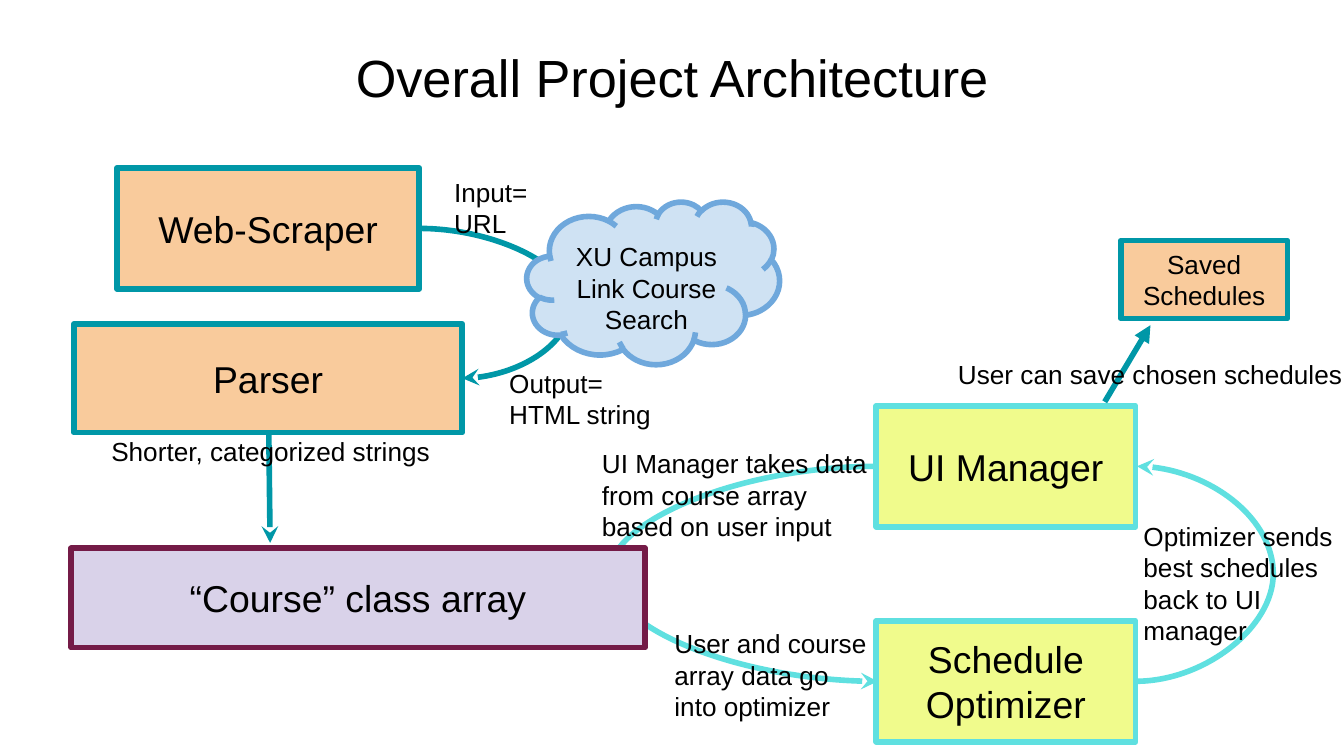
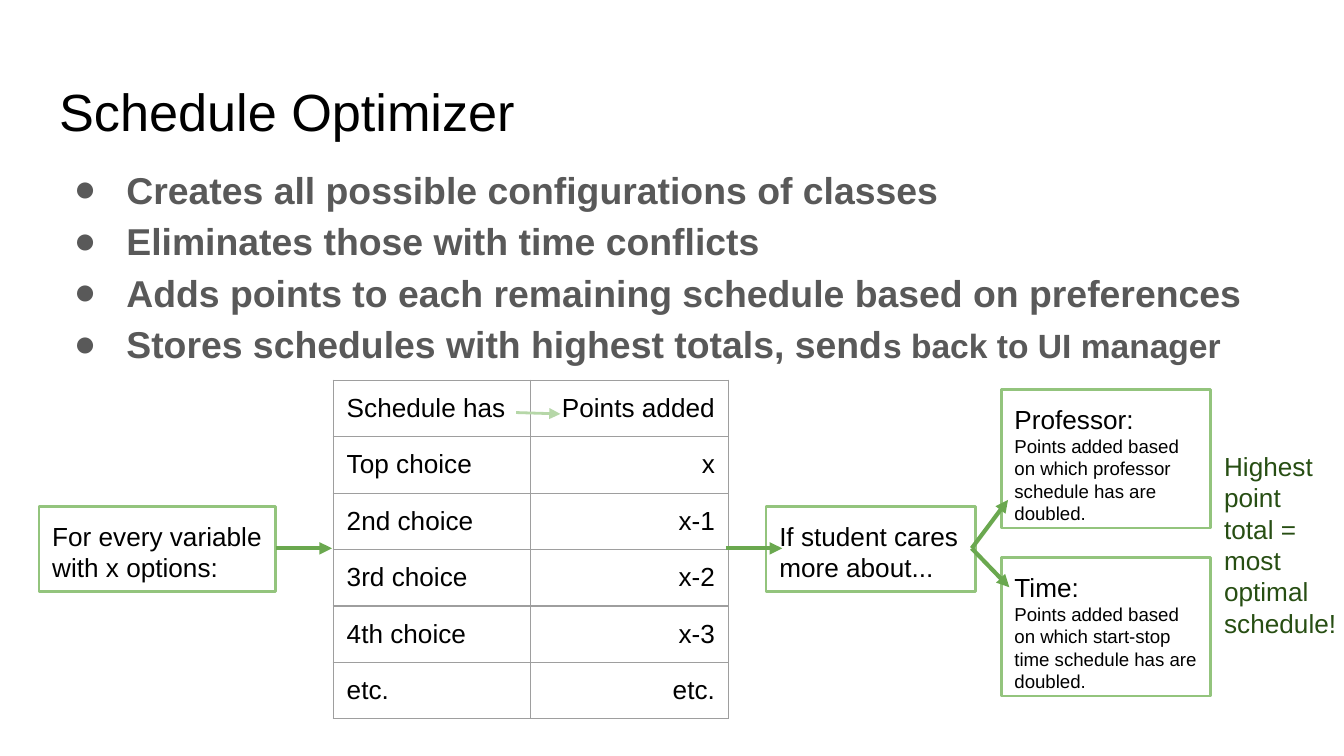
from dataclasses import dataclass

from lxml import etree
from pptx import Presentation
from pptx.dml.color import RGBColor
from pptx.enum.shapes import MSO_CONNECTOR, MSO_SHAPE
from pptx.enum.text import MSO_ANCHOR, MSO_AUTO_SIZE, PP_ALIGN
from pptx.oxml.ns import qn
from pptx.util import Inches, Pt

RECTANGLE, CLOUD = MSO_SHAPE.RECTANGLE, MSO_SHAPE.CLOUD
STRAIGHT, CURVE = MSO_CONNECTOR.STRAIGHT, MSO_CONNECTOR.CURVE
LEFT, CENTER, RIGHT = PP_ALIGN.LEFT, PP_ALIGN.CENTER, PP_ALIGN.RIGHT
TOP, MIDDLE = MSO_ANCHOR.TOP, MSO_ANCHOR.MIDDLE
NO_AUTOFIT = MSO_AUTO_SIZE.NONE
LEFT_SITE, RIGHT_SITE = 1, 3
TITLE_ONLY, TITLE_AND_BODY = 5, 1
COLUMNS, ROWS = 100, 56.25


@dataclass(frozen=True)
class Theme:
    font: str = "Arial"
    ink: str = "000000"
    body: str = "595959"
    teal: str = "0097A7"
    aqua: str = "5FE0E0"
    orange: str = "F9CB9C"
    yellow: str = "EDFA6E"
    lilac: str = "D9D2E9"
    plum: str = "741B47"
    sky: str = "CFE2F3"
    blue: str = "6FA8DC"
    pale_green: str = "B6D7A8"
    light_green: str = "93C47D"
    green: str = "6AA84F"
    dark_green: str = "274E13"
    grid: str = "9E9E9E"
    title_size: int = 28
    large: int = 20
    medium: int = 18
    label: int = 14
    small: int = 10
    inset: float = 0.1
    heavy: float = 3
    middle: float = 2.25
    thin: float = 1.5
    hair: float = 0.75


THEME = Theme()


def add_xml(parent, tag, **attributes):
    return etree.SubElement(parent, qn(tag), attributes)


def write(frame, text, size=THEME.label, color=THEME.ink, bold=False, align=LEFT,
          anchor=TOP, line_spacing=1.0, bullet=None):
    frame.word_wrap = True
    frame.auto_size = NO_AUTOFIT
    frame.vertical_anchor = anchor
    frame.margin_left = frame.margin_right = Inches(THEME.inset)
    frame.margin_top = frame.margin_bottom = Inches(THEME.inset)
    lines = [text] if isinstance(text, str) else text
    for index, line in enumerate(lines):
        paragraph = frame.add_paragraph() if index else frame.paragraphs[0]
        paragraph.alignment = align
        paragraph.line_spacing = line_spacing
        paragraph.space_before = paragraph.space_after = Pt(0)
        if bullet:
            properties = paragraph._p.get_or_add_pPr()
            properties.set("marL", str(Inches(0.5)))
            properties.set("indent", str(Inches(-0.39)))
            add_xml(add_xml(properties, "a:buClr"), "a:srgbClr", val=color)
            add_xml(properties, "a:buChar", char=bullet)
        for part in [(line, size)] if isinstance(line, str) else line:
            run = paragraph.add_run()
            run.text, run_size = part
            run.font.name = THEME.font
            run.font.size = Pt(run_size)
            run.font.bold = bold
            run.font.color.rgb = RGBColor.from_string(color)


class Deck:
    def __init__(self, theme):
        self.theme = theme
        self.presentation = Presentation()
        self.presentation.slide_width = Inches(10)
        self.presentation.slide_height = Inches(5.625)
        self.slide = None

    def x(self, columns):
        return round(self.presentation.slide_width * columns / COLUMNS)

    def y(self, rows):
        return round(self.presentation.slide_height * rows / ROWS)

    def box(self, left, top, width, height):
        return self.x(left), self.y(top), self.x(width), self.y(height)

    def fill_placeholder(self, shape, area, text, **format):
        shape.left, shape.top, shape.width, shape.height = self.box(*area)
        write(shape.text_frame, text, **format)

    def add_slide(self, layout, title, top, align=LEFT):
        layouts = self.presentation.slide_layouts
        self.slide = self.presentation.slides.add_slide(layouts[layout])
        self.fill_placeholder(self.slide.shapes.title, (3.4, top, 93.2, 6.3), title,
                              size=self.theme.title_size, align=align)

    def bullets(self, area, lines):
        self.fill_placeholder(self.slide.placeholders[1], area, lines, bullet="●",
                              size=self.theme.large, color=self.theme.body,
                              bold=True, line_spacing=1.15)

    def label(self, area, text, **format):
        shape = self.slide.shapes.add_textbox(*self.box(*area))
        write(shape.text_frame, text, **format)

    def block(self, area, text=None, fill=None, line=THEME.teal, weight=THEME.heavy,
              opacity=None, kind=RECTANGLE, **format):
        shape = self.slide.shapes.add_shape(kind, *self.box(*area))
        shape.shadow.inherit = False
        shape.line.color.rgb = RGBColor.from_string(line)
        shape.line.width = Pt(weight)
        if fill:
            shape.fill.solid()
            shape.fill.fore_color.rgb = RGBColor.from_string(fill)
        else:
            shape.fill.background()
        if opacity:
            color = shape.element.spPr.find(qn("a:solidFill"))[0]
            add_xml(color, "a:alpha", val=str(opacity * 1000))
        if text:
            write(shape.text_frame, text, **format)
        return shape

    def arrow(self, start, end, color=THEME.teal, weight=THEME.heavy,
              head="triangle", kind=STRAIGHT):
        connector = self.slide.shapes.add_connector(
            kind, self.x(start[0]), self.y(start[1]), self.x(end[0]), self.y(end[1]))
        connector.line.color.rgb = RGBColor.from_string(color)
        connector.line.width = Pt(weight)
        properties = connector.element.spPr
        add_xml(properties.find(qn("a:ln")), "a:tailEnd", type=head)
        add_xml(properties, "a:effectLst")
        return connector

    def loop(self, source, target, site, bend, color):
        connector = self.arrow((0, 0), (1, 1), color, head="stealth", kind=CURVE)
        connector.begin_connect(source, site)
        connector.end_connect(target, site)
        if connector.begin_x == connector.end_x:
            connector.end_x = connector.begin_x + Inches(0.01)
        ratio = (self.x(bend) - connector.begin_x) / (connector.end_x - connector.begin_x)
        guides = connector.element.spPr.find(qn("a:prstGeom")).find(qn("a:avLst"))
        add_xml(guides, "a:gd", name="adj1", fmla=f"val {round(ratio * 100000)}")
        self.slide.shapes._spTree.insert(2, connector.element)

    def table(self, left, top, column_width, row_height, rows):
        count = len(rows[0])
        area = self.box(left, top, column_width * count, row_height * len(rows))
        table = self.slide.shapes.add_table(len(rows), count, *area).table
        table.first_row = table.horz_banding = False
        for row, values in zip(table.rows, rows):
            row.height = self.y(row_height)
            for cell, value, align in zip(row.cells, values, (LEFT, RIGHT)):
                self.cell(cell, value, align)

    def cell(self, cell, text, align):
        inset = Inches(self.theme.inset)
        cell.margin_left = cell.margin_right = inset
        cell.margin_top = cell.margin_bottom = inset
        properties = cell._tc.get_or_add_tcPr()
        for side in ("a:lnL", "a:lnR", "a:lnT", "a:lnB"):
            border = add_xml(properties, side, w=str(Pt(self.theme.hair)))
            add_xml(add_xml(border, "a:solidFill"), "a:srgbClr", val=self.theme.grid)
        cell.fill.background()
        paragraph = cell.text_frame.paragraphs[0]
        paragraph.alignment = align
        run = paragraph.add_run()
        run.text = text
        run.font.name = self.theme.font
        run.font.size = Pt(self.theme.label)
        run.font.color.rgb = RGBColor.from_string(self.theme.ink)


def build_architecture(deck):
    theme = deck.theme
    deck.add_slide(TITLE_ONLY, "Overall Project Architecture", 2.4, CENTER)
    deck.block((39.2, 15, 18.8, 12.1), fill=theme.sky, line=theme.blue, kind=CLOUD)
    centred = dict(align=CENTER, anchor=MIDDLE)
    heading = dict(size=theme.large, **centred)
    manager_style = dict(fill=theme.yellow, line=theme.aqua, opacity=79, **heading)
    scraper = deck.block((8.7, 12.5, 22.5, 9), "Web-Scraper", theme.orange, **heading)
    parser = deck.block((5.5, 24.1, 28.9, 8.1), "Parser", theme.orange, **heading)
    deck.label((41, 16.9, 14.2, 4.9), ["XU Campus Link Course", "Search"], align=CENTER)
    deck.block((5.3, 40.8, 42.7, 7.4), "“Course” class array", theme.lilac,
               theme.plum, **heading)
    optimizer = deck.block((65.2, 46.2, 19.3, 9), "Schedule Optimizer", **manager_style)
    manager = deck.block((65.2, 30.2, 19.3, 9), "UI Manager", **manager_style)
    deck.block((83.4, 17.9, 12.4, 5.8), "Saved Schedules", theme.orange, **centred)

    deck.loop(scraper, parser, RIGHT_SITE, 42.5, theme.teal)
    deck.loop(manager, optimizer, LEFT_SITE, 45, theme.aqua)
    deck.loop(optimizer, manager, RIGHT_SITE, 94.9, theme.aqua)
    deck.arrow((20, 32.2), (20.1, 40.4), head="stealth")
    deck.arrow((82.2, 29.9), (85.6, 24.2))

    deck.label((5.3, 31.4, 29.7, 2.7), "Shorter, categorized strings", align=CENTER)
    for area, text in (
        ((32.8, 12.1, 7.9, 5.8), "Input= URL"),
        ((36.9, 26.3, 13.1, 5.8), "Output= HTML string"),
        ((43.8, 32.4, 22.5, 1.8),
         "UI Manager takes data from course array based on user input"),
        ((49.2, 45.7, 16.7, 7.4), "User and course array data go into optimizer"),
        ((84.1, 37.7, 16.7, 11.1), "Optimizer sends best schedules back to UI manager"),
        ((70.3, 25.7, 30.7, 2.7), "User can save chosen schedules"),
    ):
        deck.label(area, text)


def build_optimizer(deck):
    theme = deck.theme
    deck.add_slide(TITLE_AND_BODY, "Schedule Optimizer", 4.9)
    deck.bullets((3.4, 10.9, 93.2, 16.7), [
        "Creates all possible configurations of classes",
        "Eliminates those with time conflicts",
        "Adds points to each remaining schedule based on preferences",
        [("Stores schedules with highest totals, send", theme.large),
         ("s back to UI manager", theme.medium)],
    ])
    deck.table(24.8, 28.3, 14.7, 4.2, [
        ("Schedule has", "Points added"),
        ("Top choice", "x"),
        ("2nd choice", "x-1"),
        ("3rd choice", "x-2"),
        ("4th choice", "x-3"),
        ("etc.", "etc."),
    ])
    outline = dict(line=theme.light_green, weight=theme.thin)
    deck.block((2.9, 37.7, 17.6, 6.3), "For every variable with x options:", **outline)
    deck.block((57, 37.7, 15.6, 6.3), "If student cares more about...", **outline)
    for top, name, basis in ((29, "Professor:", "professor schedule"),
                             (41.5, "Time:", "start-stop time schedule")):
        detail = f"Points added based on which {basis} has are doubled."
        deck.block((74.5, top, 15.6, 10.3), [name, [(detail, theme.small)]], **outline)
    deck.arrow((38.4, 30.7), (41.7, 30.8), theme.pale_green, theme.thin)
    for start, end in (((20.5, 40.8), (24.7, 40.8)), ((54, 40.8), (58.2, 40.8)),
                       ((72.3, 40.8), (75, 37.2)), ((72.3, 40.8), (75.1, 43.7))):
        deck.arrow(start, end, theme.green, theme.middle)
    deck.label((90.1, 32.5, 10.4, 10.3), "Highest point total = most optimal schedule!",
               color=theme.dark_green)


def main():
    deck = Deck(THEME)
    build_architecture(deck)
    build_optimizer(deck)
    deck.presentation.save("out.pptx")


if __name__ == "__main__":
    main()
